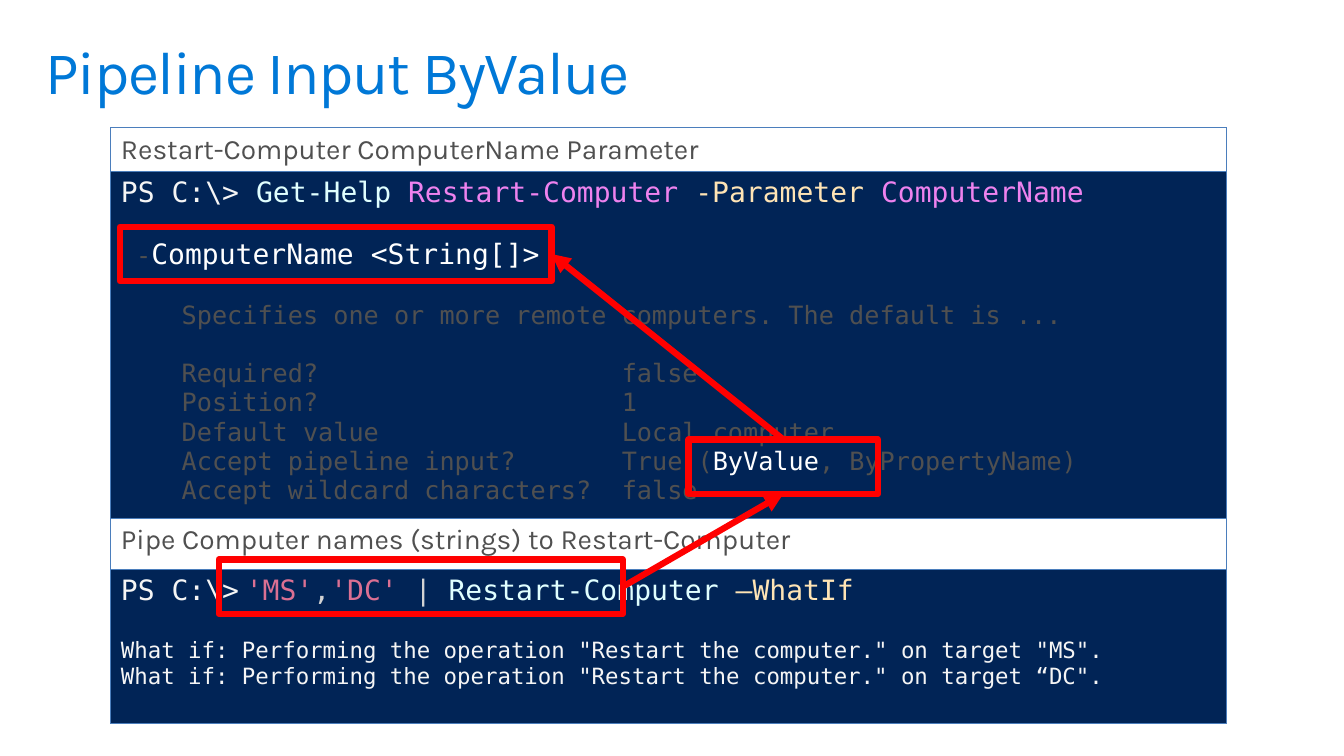
from lxml import etree
from pptx import Presentation
from pptx.dml.color import RGBColor
from pptx.enum.shapes import MSO_CONNECTOR, MSO_SHAPE
from pptx.enum.text import MSO_ANCHOR
from pptx.oxml import parse_xml
from pptx.oxml.ns import nsdecls, qn
from pptx.util import Pt

STRAIGHT = MSO_CONNECTOR.STRAIGHT
RECT = MSO_SHAPE.RECTANGLE
TOP, MIDDLE = MSO_ANCHOR.TOP, MSO_ANCHOR.MIDDLE
SANS, MONO = "Karla", "DejaVu Sans Mono"
COLORS = {
    "title": "0078D7", "gray": "505050", "navy": "012456", "border": "4B7EBC",
    "red": "FF0000", "white": "FFFFFF", "prompt": "F5F5F5", "command": "E0FFFF",
    "argument": "EE82EE", "parameter": "FFE4B5", "string": "DB7093",
    "operator": "D3D3D3",
}
CHAR = 10.84
LINE = 21
TABS = (4 * CHAR, 33 * CHAR)


def rgb(name):
    return RGBColor.from_string(COLORS[name])


def add_run(p, text, color, size=20, name=MONO):
    r = p.add_run()
    r.text = text
    for key, value in {"size": Pt(size), "name": name}.items():
        setattr(r.font, key, value)
    r.font.color.rgb = rgb(color)
    return r


def add_tabs(p):
    tabs = etree.SubElement(p._p.get_or_add_pPr(), qn("a:tabLst"))
    for pos in TABS:
        etree.SubElement(tabs, qn("a:tab"), pos=str(int(Pt(pos))), algn="l")


def write(tf, lines):
    for i, (runs, options) in enumerate(lines):
        p = tf.paragraphs[0] if i == 0 else tf.add_paragraph()
        if options.get("tabs"):
            add_tabs(p)
        if "indent" in options:
            p._p.get_or_add_pPr().set("marL", str(int(Pt(options["indent"]))))
        if "before" in options:
            p.space_before = Pt(options["before"])
        for run in runs:
            add_run(p, *run)


def add_title(s, x, y, w, h, text):
    tf = s.shapes.add_textbox(Pt(x), Pt(y), Pt(w), Pt(h)).text_frame
    for key, value in {"word_wrap": True, "vertical_anchor": TOP,
                       "margin_left": Pt(11.5), "margin_right": Pt(11.5),
                       "margin_top": Pt(7.2), "margin_bottom": Pt(7.2)}.items():
        setattr(tf, key, value)
    p = tf.paragraphs[0]
    p.line_spacing = 0.9
    r = add_run(p, text, "title", 43.2, SANS)
    r._r.get_or_add_rPr().set("spc", "-100")


def add_borders(cell):
    tcPr = cell._tc.get_or_add_tcPr()
    for i, side in enumerate(("lnL", "lnR", "lnT", "lnB")):
        tcPr.insert(i, parse_xml(
            f'<a:{side} {nsdecls("a")} w="{int(Pt(0.75))}"><a:solidFill>'
            f'<a:srgbClr val="{COLORS["border"]}"/></a:solidFill></a:{side}>'))


def help_lines():
    facts = [("Required?", "false"), ("Position?", "1"),
             ("Default value", "Local computer")]
    lines = [
        ([("PS C:\\> ", "prompt"), ("Get-Help ", "command"),
          ("Restart-Computer ", "argument"), ("-Parameter ", "parameter"),
          ("ComputerName", "argument")], {}),
        ([("-", "gray", 18), ("ComputerName <String[]>", "white")],
         {"indent": CHAR, "before": LINE}),
        ([("\tSpecifies one or more remote computers. The default is ...",
           "gray", 18)], {"tabs": True, "before": LINE}),
    ]
    for i, (label, value) in enumerate(facts):
        options = {"tabs": True, "before": 0 if i else LINE}
        lines.append(([(f"\t{label}\t{value}", "gray", 18)], options))
    lines.append(([("\tAccept pipeline input?\tTrue (", "gray", 18),
                   ("ByValue", "white", 18),
                   (", ByPropertyName)", "gray", 18)], {"tabs": True}))
    lines.append(([("\tAccept wildcard characters?\tfalse", "gray", 18)],
                  {"tabs": True}))
    return lines


def pipe_lines():
    what_if = 'What if: Performing the operation "Restart the computer." on target '
    return [
        ([("PS C:\\>", "prompt"), (" ", "prompt", 20, SANS), ("'MS'", "string"),
          (",", "operator"), ("'DC' ", "string"), ("| ", "operator"),
          ("Restart-Computer ", "command"), ("–WhatIf", "parameter")], {}),
        ([(what_if + '"MS".', "prompt", 16)], {"before": LINE}),
        ([(what_if + '“DC".', "prompt", 16)], {}),
    ]


def heading(text):
    return [([(text, "gray", 20, SANS)], {})]


def add_console_table(s, x, y, w, heights):
    rows = [
        (heading("Restart-Computer ComputerName Parameter"), None, MIDDLE),
        (help_lines(), "navy", TOP),
        (heading("Pipe Computer names (strings) to Restart-Computer"), None, TOP),
        (pipe_lines(), "navy", TOP),
    ]
    table = s.shapes.add_table(len(rows), 1, Pt(x), Pt(y), Pt(w),
                               Pt(sum(heights))).table
    table.first_row = table.horz_banding = False
    for i, (lines, fill, anchor) in enumerate(rows):
        table.rows[i].height = Pt(heights[i])
        cell = table.cell(i, 0)
        cell.vertical_anchor = anchor
        if fill:
            cell.fill.solid()
            cell.fill.fore_color.rgb = rgb(fill)
        else:
            cell.fill.background()
        add_borders(cell)
        write(cell.text_frame, lines)


def style_line(line):
    line.color.rgb = rgb("red")
    line.width = Pt(4.5)


def add_frame(s, x, y, w, h):
    sp = s.shapes.add_shape(RECT, Pt(x), Pt(y), Pt(w), Pt(h))
    sp.shadow.inherit = False
    sp.fill.background()
    style_line(sp.line)
    return sp


def add_arrow(s, start, end):
    c = s.shapes.add_connector(STRAIGHT, *start, *end)
    style_line(c.line)
    etree.SubElement(c.line._get_or_add_ln(), qn("a:tailEnd"), type="triangle")
    etree.SubElement(c._element.spPr, qn("a:effectLst"))


def right_of(sp):
    return sp.left + sp.width, sp.top + sp.height // 2


def add_callouts(s, x, y, h):
    names = add_frame(s, x + 77, y + 308.2, 288.7, h)
    parameter = add_frame(s, x + 6.5, y + 70.6, 308.2, h)
    by_value = add_frame(s, x + 412.6, y + 222.5, 135.4, h)
    center = by_value.left + by_value.width // 2
    add_arrow(s, right_of(names), (center, by_value.top + by_value.height))
    add_arrow(s, (center, by_value.top), right_of(parameter))


def main():
    prs = Presentation()
    prs.slide_width, prs.slide_height = Pt(960), Pt(540)
    s = prs.slides.add_slide(prs.slide_layouts[6])
    add_title(s, 20.9, 23, 918, 70.6, "Pipeline Input ByValue")
    add_console_table(s, 79.2, 91.4, 797, (30.7, 242.6, 36.6, 109.4))
    add_callouts(s, 79.2, 91.4, 38.9)
    prs.save("out.pptx")


if __name__ == "__main__":
    main()
